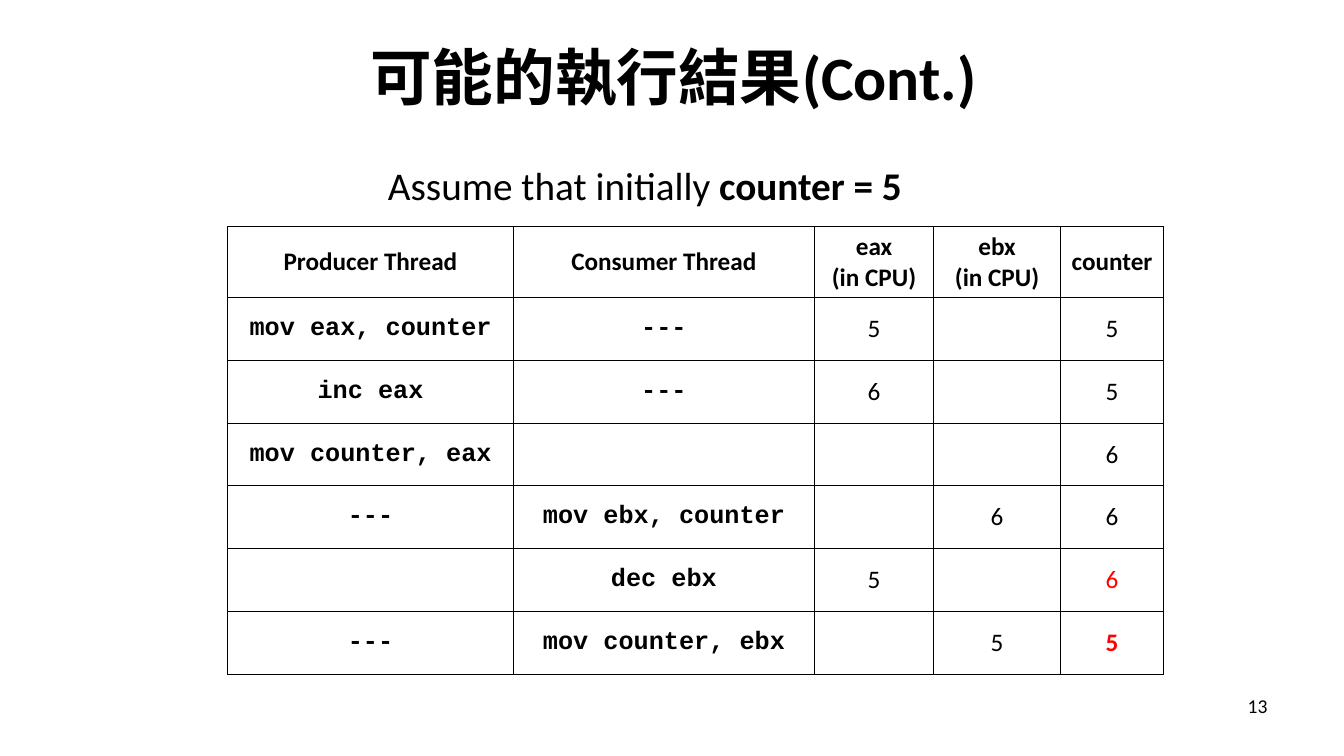
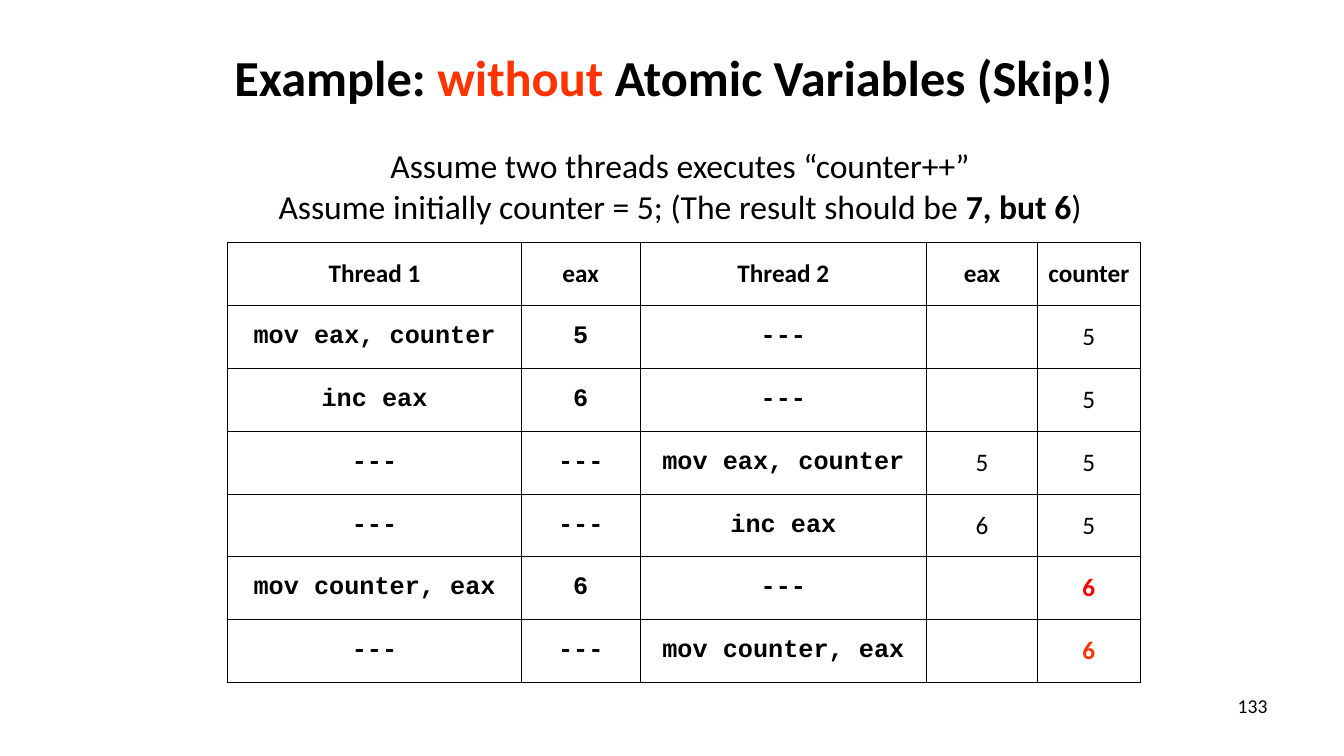
import pptx
import pptx.dml.color
import pptx.enum.text
import pptx.oxml
import pptx.oxml.ns
import pptx.util
from pptx.util import Inches

BLACK = pptx.dml.color.RGBColor(0x00, 0x00, 0x00)
WHITE = pptx.dml.color.RGBColor(0xFF, 0xFF, 0xFF)
RED = pptx.dml.color.RGBColor(0xFF, 0x00, 0x00)
ORANGE_RED = pptx.dml.color.RGBColor(0xFF, 0x33, 0x00)

LEFT = pptx.enum.text.PP_ALIGN.LEFT
CENTER = pptx.enum.text.PP_ALIGN.CENTER
RIGHT = pptx.enum.text.PP_ALIGN.RIGHT
MIDDLE = pptx.enum.text.MSO_ANCHOR.MIDDLE


def write_text(frame, text, align=LEFT, **base):
    """Fill a frame; a line is a string or a list of strings and (string, format) pairs."""
    for number, line in enumerate(text if isinstance(text, list) else [text]):
        paragraph = frame.paragraphs[0] if number == 0 else frame.add_paragraph()
        paragraph.alignment = align
        for piece in line if isinstance(line, list) else [line]:
            words, changes = (piece, {}) if isinstance(piece, str) else piece
            look = {"size": 18, "font": "Calibri", "color": BLACK, "bold": False,
                    **base, **changes}
            run = paragraph.add_run()
            run.text = words
            run.font.size = pptx.util.Pt(look["size"])
            run.font.name = look["font"]
            run.font.bold = look["bold"]
            run.font.color.rgb = look["color"]


class Deck:
    """Shared style and the slide being built."""

    CODE_FONT = "Courier New"
    ROW_HEIGHT = Inches(4.36 / 7)
    TABLE_LEFT = Inches(2.26)

    def __init__(self):
        self.presentation = pptx.Presentation()
        self.presentation.slide_width = Inches(13.33)
        self.presentation.slide_height = Inches(7.5)
        self.slide = None

    def start_slide(self, heading, size, page):
        title_only = self.presentation.slide_layouts[5]
        self.slide = self.presentation.slides.add_slide(title_only)
        title = self.slide.shapes.title
        title.left, title.top = Inches(0.68), Inches(0.13)
        title.width, title.height = Inches(12), Inches(1.25)
        title.text_frame.auto_size = pptx.enum.text.MSO_AUTO_SIZE.NONE
        title.text_frame.vertical_anchor = MIDDLE
        write_text(title.text_frame, [heading], align=CENTER, size=size, bold=True)
        self.text((9.56, 6.83, 3.11, 0.52), page, align=RIGHT, size=14)

    def text(self, box, text, wrap=True, **look):
        label = self.slide.shapes.add_textbox(*map(Inches, box))
        label.text_frame.word_wrap = wrap
        write_text(label.text_frame, text, **look)

    def trace_table(self, top, widths, rows, code_columns, highlights):
        """Execution trace: bold header, code columns in the code font."""
        frame = self.slide.shapes.add_table(
            len(rows), len(widths), self.TABLE_LEFT, Inches(top),
            Inches(sum(widths)), self.ROW_HEIGHT * len(rows))
        table = frame.table
        table.first_row = table.horz_banding = False
        for column, width in zip(table.columns, widths):
            column.width = Inches(width)
        for r, row in enumerate(rows):
            table.rows[r].height = self.ROW_HEIGHT
            for c, content in enumerate(row):
                cell = table.cell(r, c)
                cell.vertical_anchor = MIDDLE
                cell.fill.solid()
                cell.fill.fore_color.rgb = WHITE
                self.border(cell)
                look = {"bold": r == 0 or c in code_columns}
                if r > 0 and c in code_columns:
                    look["font"] = self.CODE_FONT
                look.update(highlights.get((r, c), {}))
                if content:
                    write_text(cell.text_frame, content, align=CENTER, **look)

    @staticmethod
    def border(cell):
        properties = cell._tc.get_or_add_tcPr()
        for position, side in enumerate(("lnL", "lnR", "lnT", "lnB")):
            properties.insert(position, pptx.oxml.parse_xml(
                f'<a:{side} {pptx.oxml.ns.nsdecls("a")} w="{pptx.util.Pt(0.75)}">'
                f'<a:solidFill><a:srgbClr val="{BLACK}"/></a:solidFill></a:{side}>'))


def main():
    deck = Deck()

    # Producer and consumer trace
    deck.start_slide("可能的執行結果(Cont.)", 44, "13")
    deck.trace_table(
        2.25, [2.83, 2.99, 1.18, 1.26, 1.02],
        [["Producer Thread", "Consumer Thread", ["eax", "(in CPU)"],
          ["ebx", "(in CPU)"], "counter"],
         ["mov eax, counter", "---", "5", "", "5"],
         ["inc eax", "---", "6", "", "5"],
         ["mov counter, eax", "", "", "", "6"],
         ["---", "mov ebx, counter", "", "6", "6"],
         ["", "dec ebx", "5", "", "6"],
         ["---", "mov counter, ebx", "", "5", "5"]],
        code_columns={0, 1},
        highlights={(5, 4): {"color": RED}, (6, 4): {"color": RED, "bold": True}})
    deck.text((3.75, 1.55, 5.36, 0.57),
              [["Assume that initially ", ("counter = 5", {"bold": True})]],
              wrap=False, size=28)

    # Two threads without atomic variables
    deck.start_slide(["Example: ", ("without", {"color": ORANGE_RED}),
                      " Atomic Variables (Skip!)"], 36, "133")
    deck.trace_table(
        2.41, [2.91, 1.18, 2.84, 1.1, 1.02],
        [["Thread 1", "eax", "Thread 2", "eax", "counter"],
         ["mov eax, counter", "5", "---", "", "5"],
         ["inc eax", "6", "---", "", "5"],
         ["---", "---", "mov eax, counter", "5", "5"],
         ["---", "---", "inc eax", "6", "5"],
         ["mov counter, eax", "6", "---", "", "6"],
         ["---", "---", "mov counter, eax", "", "6"]],
        code_columns={0, 1, 2},
        highlights={(5, 4): {"color": RED, "bold": True},
                    (6, 4): {"color": ORANGE_RED, "bold": True}})
    deck.text((2.4, 1.39, 8.69, 0.91),
              ["Assume two threads executes “counter++”",
               ["Assume initially counter = 5; (The result should be ",
                ("7, but 6", {"bold": True}), ")"]],
              align=CENTER, size=24)

    deck.presentation.save("out.pptx")


if __name__ == "__main__":
    main()
